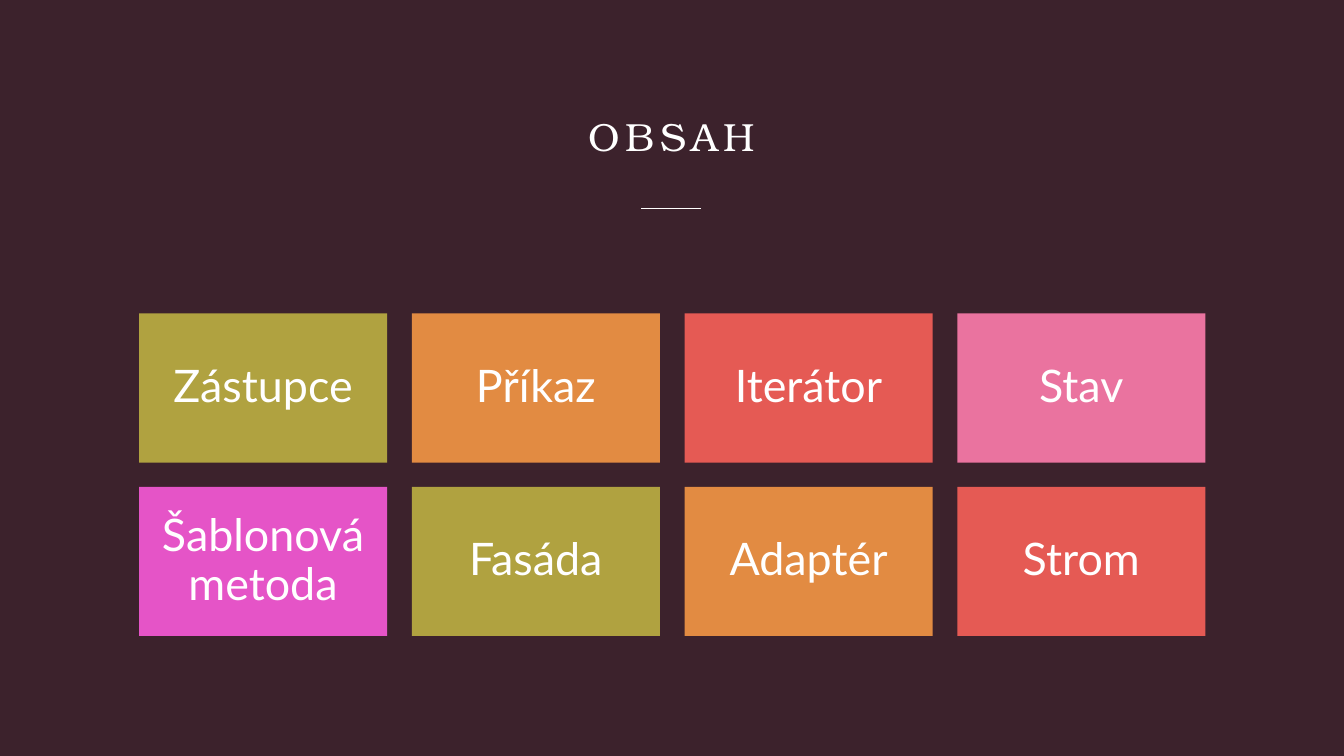
from lxml import etree
from pptx import Presentation
from pptx import util as u
from pptx.dml.color import RGBColor
from pptx.enum import shapes, text
from pptx.oxml.ns import qn

WHITE = "FFFFFF"
TOPICS = ["Zástupce", "Příkaz", "Iterátor", "Stav",
          "Šablonová metoda", "Fasáda", "Adaptér", "Strom"]
TILE_COLORS = ["B0A240", "E28B42", "E55A54", "EA739F", "E554C7"]

# Tile grid, in inches
COLUMNS = 4
LEFT, TOP = 1.38, 3.11
TILE_W, TILE_H = 2.46, 1.48
STEP_X, STEP_Y = 2.705, 1.72


def color(value):
    return RGBColor.from_string(value)


def write(sp, content, font, size, anchor, inset):
    """Put one centred white line of text into a shape."""
    tf = sp.text_frame
    tf.word_wrap = True
    tf.vertical_anchor = anchor
    tf.margin_left = tf.margin_right = u.Inches(inset)
    tf.margin_top = tf.margin_bottom = u.Inches(inset)
    p = tf.paragraphs[0]
    p.alignment = text.PP_ALIGN.CENTER
    r = p.add_run()
    r.text = content
    r.font.name = font
    r.font.size = u.Pt(size)
    r.font.color.rgb = color(WHITE)
    return p, r


def add_title(s, content):
    sp = s.shapes.add_textbox(u.Inches(1.18), u.Inches(0.58),
                              u.Inches(10.97), u.Inches(1))
    p, r = write(sp, content, "TeX Gyre Bonum", 28, text.MSO_ANCHOR.BOTTOM, 0)
    # Letter spacing in hundredths of a point
    r._r.get_or_add_rPr().set("spc", "400")


def add_rule(s, x1, x2, y):
    line = s.shapes.add_connector(shapes.MSO_CONNECTOR.STRAIGHT, u.Inches(x1),
                                  u.Inches(y), u.Inches(x2), u.Inches(y))
    line.line.color.rgb = color(WHITE)
    line.line.width = u.Pt(1)
    etree.SubElement(line._element.spPr, qn("a:effectLst"))


def add_tile(s, x, y, fill, content):
    sp = s.shapes.add_shape(shapes.MSO_SHAPE.RECTANGLE, u.Inches(x),
                            u.Inches(y), u.Inches(TILE_W), u.Inches(TILE_H))
    sp.shadow.inherit = False
    sp.fill.solid()
    sp.fill.fore_color.rgb = color(fill)
    sp.line.fill.background()
    p, r = write(sp, content, "Lato", 32, text.MSO_ANCHOR.MIDDLE, 0.13)
    p.line_spacing = 0.9


def main():
    prs = Presentation()
    prs.slide_width = u.Inches(13.33)
    prs.slide_height = u.Inches(7.5)
    s = prs.slides.add_slide(prs.slide_layouts[6])

    # Background
    s.background.fill.solid()
    s.background.fill.fore_color.rgb = color("3C222C")

    # Heading
    add_title(s, "OBSAH")
    add_rule(s, 6.36, 6.95, 2.07)

    # Topic tiles
    for i, topic in enumerate(TOPICS):
        row, col = divmod(i, COLUMNS)
        add_tile(s, LEFT + col * STEP_X, TOP + row * STEP_Y,
                 TILE_COLORS[i % len(TILE_COLORS)], topic)

    prs.save("out.pptx")


if __name__ == "__main__":
    main()
